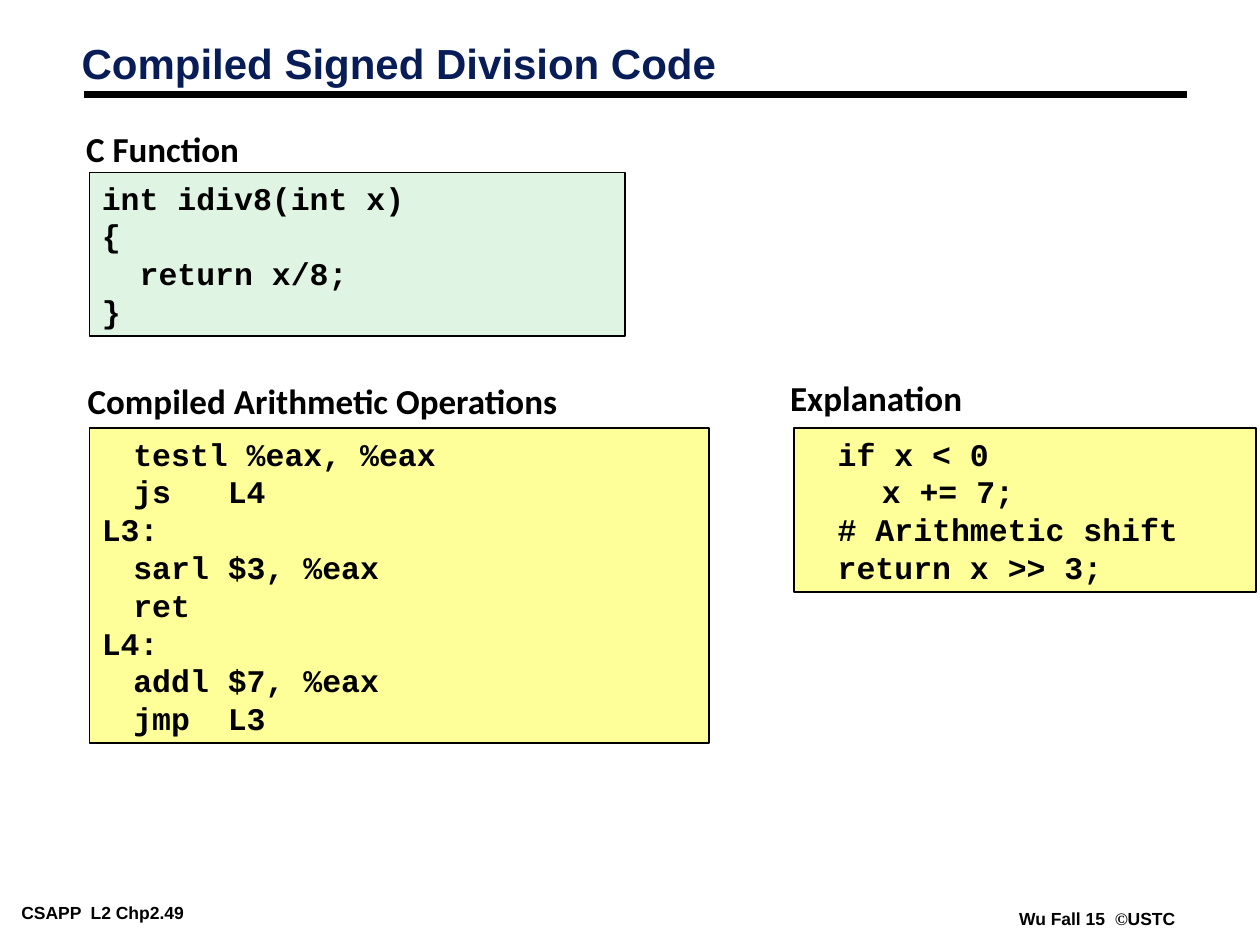
import pptx
import pptx.util
import pptx.dml.color
import pptx.enum.shapes
import pptx.enum.text
import pptx.oxml.ns
from lxml import etree

Pt = pptx.util.Pt
Align = pptx.enum.text.PP_ALIGN
Anchor = pptx.enum.text.MSO_ANCHOR
Fit = pptx.enum.text.MSO_AUTO_SIZE
qn = pptx.oxml.ns.qn

BLACK, NAVY, GREEN, YELLOW = "000000", "081D58", "E0F4E3", "FFFF99"
C_CODE = ["int idiv8(int x)", "{", "  return x/8;", "}"]
ASM = ["\ttestl %eax, %eax", "\tjs\tL4", "L3:", "\tsarl\t$3, %eax",
       "\tret", "L4:", "\taddl\t$7, %eax", "\tjmp\tL3"]
NOTES = ["\tif x < 0", "    x += 7;", "\t# Arithmetic shift",
         "\treturn x >> 3;"]


def color(code):
    return pptx.dml.color.RGBColor.from_string(code)


def set_tabs(para, stops):
    tabs = etree.SubElement(para._p.get_or_add_pPr(), qn("a:tabLst"))
    for stop in stops:
        etree.SubElement(tabs, qn("a:tab"), pos=str(Pt(stop)), algn="l")


def write(shape, lines, font="Arial", size=10, ink=BLACK, align=Align.LEFT,
          anchor=Anchor.TOP, inset=(7.2, 3.6), wrap=True, fit=Fit.SHAPE_TO_FIT_TEXT,
          space=None, tabs=()):
    """Fill a shape with lines; each line is a string or a list of (text, font)."""
    frame = shape.text_frame
    frame.word_wrap = wrap
    frame.auto_size = fit
    frame.vertical_anchor = anchor
    frame.margin_left = frame.margin_right = Pt(inset[0])
    frame.margin_top = frame.margin_bottom = Pt(inset[1])
    for i, line in enumerate(lines):
        para = frame.add_paragraph() if i else frame.paragraphs[0]
        if tabs:
            set_tabs(para, tabs)
        para.alignment = align
        if space:
            para.line_spacing = space
        for text, face in [(line, font)] if isinstance(line, str) else line:
            run = para.add_run()
            run.text = text
            run.font.name = face
            run.font.size = Pt(size)
            run.font.bold = True
            run.font.color.rgb = color(ink)


def text_box(slide, box, lines, **style):
    write(slide.shapes.add_textbox(*map(Pt, box)), lines, **style)


def header(slide, box, title):
    """Place the title and the rule near the foot of its box."""
    left, top, width, height = box
    text_box(slide, box, [title], size=24, ink=NAVY, anchor=Anchor.MIDDLE,
             fit=Fit.NONE, space=0.87)
    y = Pt(top + height - 6.5)
    rule = slide.shapes.add_connector(
        pptx.enum.shapes.MSO_CONNECTOR.STRAIGHT,
        Pt(left + 8.4), y, Pt(left + width + 14.4), y)
    rule.line.color.rgb = color(BLACK)
    rule.line.width = Pt(4.5)
    etree.SubElement(rule._element.spPr, qn("a:effectLst"))


def panel(slide, box, label, label_box, lines, fill, tabs=()):
    """Place a code box with its label, given as left, top and width, above it."""
    shape = slide.shapes.add_shape(
        pptx.enum.shapes.MSO_SHAPE.RECTANGLE, *map(Pt, box))
    shape.shadow.inherit = False
    shape.fill.solid()
    shape.fill.fore_color.rgb = color(fill)
    shape.line.color.rgb = color(BLACK)
    shape.line.width = Pt(1)
    write(shape, lines, font="Courier New", size=18, tabs=tabs)
    text_box(slide, (*label_box, 31.5), [label], font="Calibri", size=20,
             align=Align.CENTER, inset=(3.6, 3.6), wrap=False)


def footer(slide, box):
    left, top, width, height = box
    style = {"inset": (5, 2.5), "wrap": False}
    text_box(slide, (left, top, 140.4, height), ["CSAPP  L2 Chp2.49"], **style)
    mark = [("Wu Fall 15  ", "Arial"), ("©", "Times New Roman"), ("USTC", "Arial")]
    text_box(slide, (left + width - 99.4, top + 3.2, 99.4, height), [mark], **style)


def main():
    deck = pptx.Presentation()
    deck.slide_width, deck.slide_height = Pt(720), Pt(540)
    slide = deck.slides.add_slide(deck.slide_layouts[6])
    stops = [18, *range(72, 433, 72)]
    header(slide, (39.6, 15.1, 624.2, 45.4), "Compiled Signed Division Code")
    panel(slide, (51.1, 98.6, 306, 93.6), "C Function", (45.4, 69.1, 95),
          C_CODE, GREEN)
    panel(slide, (51.1, 244.8, 354.2, 180), "Compiled Arithmetic Operations",
          (46.1, 213.1, 276.5), ASM, YELLOW, stops)
    panel(slide, (453.6, 244.8, 264.2, 93.6), "Explanation",
          (447.8, 211.7, 105.8), NOTES, YELLOW, stops)
    footer(slide, (7.2, 513.2, 669.6, 15.8))
    deck.save("out.pptx")


if __name__ == "__main__":
    main()
